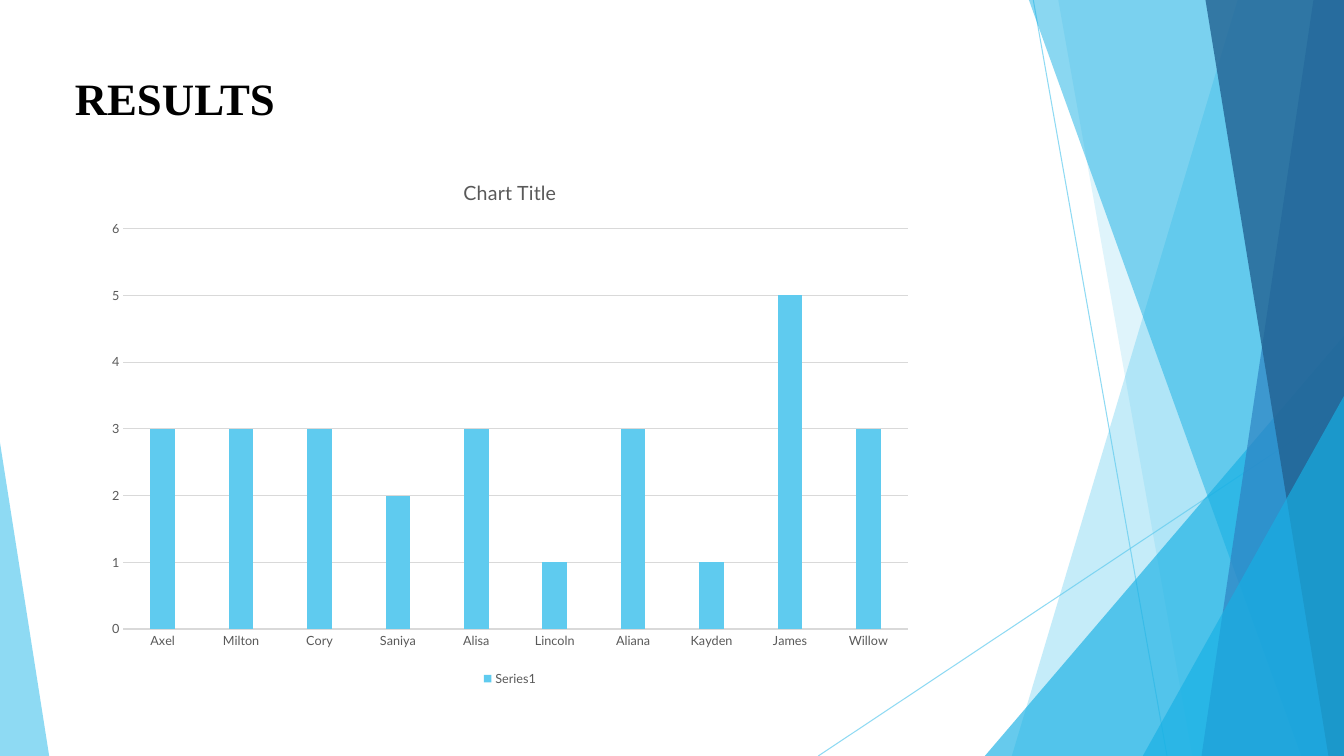
"""Build the results slide: a column chart framed by translucent blue facets."""
from pptx import Presentation
from pptx.chart.data import CategoryChartData
from pptx.dml.color import RGBColor
from pptx.enum.chart import XL_CHART_TYPE, XL_LEGEND_POSITION, XL_TICK_MARK
from pptx.enum.shapes import MSO_CONNECTOR, MSO_SHAPE
from pptx.enum.text import MSO_ANCHOR, PP_ALIGN
from pptx.oxml.ns import qn
from pptx.util import Cm, Pt
from lxml import etree

COLUMNS = XL_CHART_TYPE.COLUMN_CLUSTERED
BOTTOM = XL_LEGEND_POSITION.BOTTOM
NO_TICK = XL_TICK_MARK.NONE
STRAIGHT = MSO_CONNECTOR.STRAIGHT
TRIANGLE = MSO_SHAPE.ISOSCELES_TRIANGLE
MIDDLE = MSO_ANCHOR.MIDDLE
LEFT = PP_ALIGN.LEFT

WIDTH, HEIGHT = 33.87, 19.05
SKY, AZURE, BLUE, NAVY = "5FCBEF", "17B0E4", "2E83C3", "226292"
TEXT_GREY, LINE_GREY = "595959", "D9D9D9"


def paint(color_format, color, shape=None, opacity=100):
    color_format.rgb = RGBColor.from_string(color)
    if opacity < 100:
        node = shape.element.spPr.find(".//" + qn("a:srgbClr"))
        etree.SubElement(node, qn("a:alpha"), val=str(opacity * 1000))


def set_font(font, size, color, name="Lato", bold=False):
    font.size = Pt(size)
    font.name = name
    font.bold = bold
    paint(font.color, color)


deck = Presentation()
deck.slide_width, deck.slide_height = Cm(WIDTH), Cm(HEIGHT)
page = deck.slides.add_slide(deck.slide_layouts[5])

rays = [(26.04, 0, 29.41, HEIGHT), (WIDTH, 10.24, 20.62, HEIGHT)]
for ray in rays:
    line = page.shapes.add_connector(STRAIGHT, *[Cm(value) for value in ray])
    line.line.width = Pt(0.75)
    paint(line.line.color, SKY, line, 70)
    etree.SubElement(line.element.spPr, qn("a:effectLst"))

# Panels give top and bottom left corners; triangles give left, top, width, height and apex.
facets = [
    ((31.19, 25.5), SKY, 36),
    ((26.67, 30.05), SKY, 20),
    ((24.82, 8.46, 9.05, 10.59, 1), AZURE, 66),
    ((25.93, 32.79), AZURE, 50),
    ((33.1, 30.28), BLUE, 70),
    ((30.38, 33.48), NAVY, 80),
    ((28.8, 9.98, 5.07, 9.07, 1), AZURE, 66),
    ((0, 11.15, 1.24, 7.9, 0), SKY, 70),
]
for geometry, color, opacity in facets:
    if len(geometry) == 2:
        top_left, bottom_left = geometry
        outline = page.shapes.build_freeform(Cm(top_left), Cm(0))
        corners = [(WIDTH, 0), (WIDTH, HEIGHT), (bottom_left, HEIGHT)]
        outline.add_line_segments([(Cm(x), Cm(y)) for x, y in corners])
        facet = outline.convert_to_shape()
    else:
        *frame, apex = geometry
        facet = page.shapes.add_shape(TRIANGLE, *[Cm(value) for value in frame])
        facet.adjustments[0] = apex
    facet.shadow.inherit = False
    facet.line.fill.background()
    facet.fill.solid()
    paint(facet.fill.fore_color, color, facet, opacity)

title = page.shapes.title
title.left, title.top, title.width, title.height = Cm(1.63), Cm(1.65), Cm(19.28), Cm(1.63)
title.text_frame.text = "RESULTS"
title.text_frame.vertical_anchor = MIDDLE
heading = title.text_frame.paragraphs[0]
heading.alignment = LEFT
set_font(heading.font, 32, "000000", "Times New Roman", True)

scores = {
    "Axel": 3, "Milton": 3, "Cory": 3, "Saniya": 2, "Alisa": 3,
    "Lincoln": 1, "Aliana": 3, "Kayden": 1, "James": 5, "Willow": 3,
}
data = CategoryChartData()
data.categories = list(scores)
data.add_series("Series1", list(scores.values()))
chart = page.shapes.add_chart(COLUMNS, Cm(2.41), Cm(3.99), Cm(20.88), Cm(13.41), data).chart
set_font(chart.font, 10, "000000")

chart.has_title = True
chart.chart_title.include_in_layout = False
chart.chart_title.text_frame.text = "Chart Title"
set_font(chart.chart_title.text_frame.paragraphs[0].font, 14, TEXT_GREY)

chart.has_legend = True
chart.legend.position = BOTTOM
chart.legend.include_in_layout = False
set_font(chart.legend.font, 9, TEXT_GREY)

plot = chart.plots[0]
plot.gap_width = 219
plot.overlap = -27
plot.vary_by_categories = False
bars = plot.series[0].format.fill
bars.solid()
paint(bars.fore_color, SKY)

for axis in (chart.category_axis, chart.value_axis):
    axis.major_tick_mark = axis.minor_tick_mark = NO_TICK
    set_font(axis.tick_labels.font, 9, TEXT_GREY)
chart.value_axis.minimum_scale = 0
chart.value_axis.maximum_scale = 6
chart.value_axis.major_unit = 1
chart.value_axis.format.line.fill.background()
for rule in (chart.category_axis.format.line, chart.value_axis.major_gridlines.format.line):
    rule.width = Pt(0.75)
    paint(rule.color, LINE_GREY)

deck.save("out.pptx")
